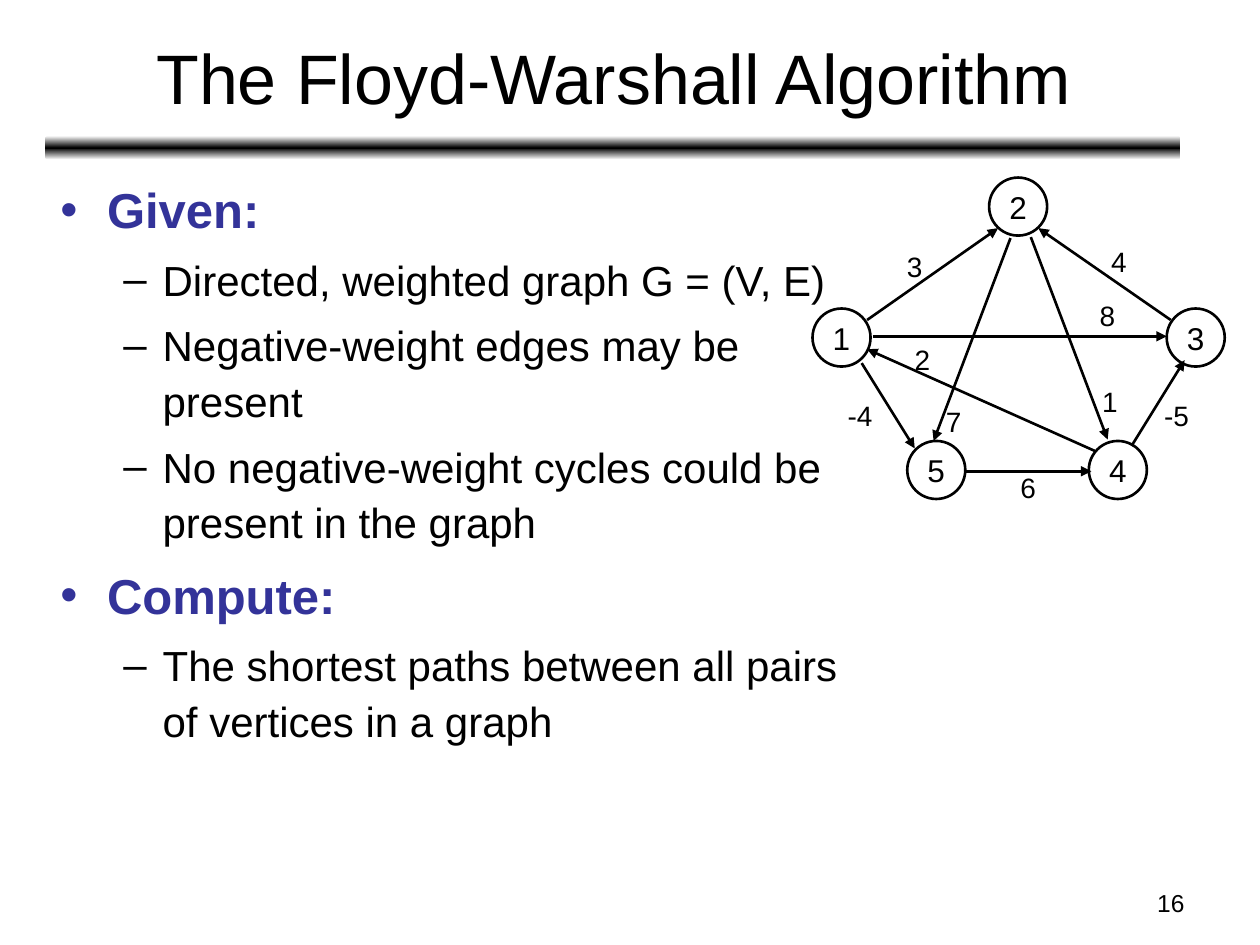
from copy import deepcopy

from pptx import Presentation
from pptx.dml.color import RGBColor
from pptx.enum.shapes import MSO_CONNECTOR, MSO_SHAPE
from pptx.enum.text import MSO_ANCHOR, MSO_AUTO_SIZE, PP_ALIGN
from pptx.oxml.ns import qn
from pptx.util import Cm, Pt
from lxml.etree import SubElement

INK = {"black": "000000", "white": "FFFFFF", "blue": "333399"}
NODE = 1.17
LEVELS = [
    {"mark": "•", "size": 28, "ink": "blue", "bold": True, "left": 0.94, "hang": 0.94, "gap": 7},
    {"mark": "–", "size": 24, "ink": "black", "bold": False, "left": 2.06, "hang": 0.79, "gap": 6},
]
POINTS = [
    (0, "Given:"),
    (1, "Directed, weighted graph G = (V, E)"),
    (1, "Negative-weight edges may be present"),
    (1, "No negative-weight cycles could be present in the graph"),
    (0, "Compute:"),
    (1, "The shortest paths between all pairs of vertices in a graph"),
]
NODES = [
    ("1", 16.38, 6.22),
    ("2", 19.94, 3.58),
    ("3", 23.52, 6.22),
    ("5", 18.29, 8.89),
    ("4", 21.95, 8.89),
]
EDGES = [
    (17.48, 6.45, 20.12, 4.6),
    (17.37, 7.32, 18.44, 9.04),
    (19.48, 9.5, 22, 9.5),
    (20.78, 4.78, 22.33, 8.86),
    (22.07, 9.09, 17.48, 7.04),
    (23.6, 6.45, 20.93, 4.6),
    (20.37, 4.8, 18.82, 8.89),
    (22.81, 8.99, 23.88, 7.26),
    (17.6, 6.78, 23.52, 6.78),
]
WEIGHTS = [
    ("3", 18.03, 4.9),
    ("-4", 16.84, 7.9),
    ("7", 18.82, 8.03),
    ("6", 20.32, 9.37),
    ("2", 18.19, 6.78),
    ("4", 22.15, 4.8),
    ("1", 21.97, 7.62),
    ("-5", 23.22, 7.9),
    ("8", 21.92, 5.89),
]


class Deck:
    font = "Arial"
    line = 1.5

    def __init__(self, slide):
        self.slide = slide
        self.shapes = slide.shapes

    def ink(self, name):
        return RGBColor.from_string(INK[name])

    def style(self, para, size, ink="black", bold=False):
        for run in para.runs:
            run.font.name = self.font
            run.font.size = Pt(size)
            run.font.bold = bold
            run.font.color.rgb = self.ink(ink)

    def text(self, text, box, size, align=PP_ALIGN.LEFT, anchor=MSO_ANCHOR.TOP, wrap=True):
        frame = self.shapes.add_textbox(*map(Cm, box)).text_frame
        frame.word_wrap = wrap
        frame.auto_size = MSO_AUTO_SIZE.NONE if wrap else MSO_AUTO_SIZE.SHAPE_TO_FIT_TEXT
        frame.vertical_anchor = anchor
        frame.text = text
        para = frame.paragraphs[0]
        para.alignment = align
        self.style(para, size)

    def points(self, items, box):
        frame = self.shapes.add_textbox(*map(Cm, box)).text_frame
        frame.word_wrap = True
        for num, (level, text) in enumerate(items):
            para = frame.add_paragraph() if num else frame.paragraphs[0]
            look = LEVELS[level]
            para.text = text
            para.level = level
            para.line_spacing = 1.1
            para.space_before = Pt(look["gap"])
            self.style(para, look["size"], look["ink"], look["bold"])
            self.bullet(para, look)

    def bullet(self, para, look):
        props = para._p.get_or_add_pPr()
        props.set("marL", str(Cm(look["left"])))
        props.set("indent", str(-Cm(look["hang"])))
        tint = SubElement(props, qn("a:buClr"))
        SubElement(tint, qn("a:srgbClr"), val=INK[look["ink"]])
        SubElement(props, qn("a:buFont"), typeface=self.font)
        SubElement(props, qn("a:buChar"), char=look["mark"])

    def bar(self, box):
        shape = self.shapes.add_shape(MSO_SHAPE.ROUNDED_RECTANGLE, *map(Cm, box))
        shape.shadow.inherit = False
        shape.line.fill.background()
        shape.fill.gradient()
        shape.fill.gradient_angle = 90
        stops = shape.element.spPr.find(".//" + qn("a:gsLst"))
        stops.insert(1, deepcopy(stops[0]))
        for stop, place, ink in zip(shape.fill.gradient_stops, (0, 0.5, 1), ("white", "black", "white")):
            stop.position = place
            stop.color.rgb = self.ink(ink)

    def node(self, text, left, top):
        shape = self.shapes.add_shape(MSO_SHAPE.OVAL, *map(Cm, (left, top, NODE, NODE)))
        shape.shadow.inherit = False
        shape.fill.background()
        shape.line.color.rgb = self.ink("black")
        shape.line.width = Pt(self.line)
        frame = shape.text_frame
        frame.word_wrap = False
        frame.vertical_anchor = MSO_ANCHOR.MIDDLE
        frame.text = text
        frame.paragraphs[0].alignment = PP_ALIGN.CENTER
        self.style(frame.paragraphs[0], 18)

    def edge(self, *ends):
        link = self.shapes.add_connector(MSO_CONNECTOR.STRAIGHT, *map(Cm, ends))
        link.line.color.rgb = self.ink("black")
        link.line.width = Pt(self.line)
        SubElement(link.line._get_or_add_ln(), qn("a:tailEnd"), type="triangle")
        SubElement(link.element.spPr, qn("a:effectLst"))

    def weight(self, text, left, top):
        wide = 0.85 if len(text) == 1 else 1.1
        self.text(text, (left, top, wide, 0.94), 16, wrap=False)


def main():
    show = Presentation()
    show.slide_width, show.slide_height = Cm(25.4), Cm(19.05)
    deck = Deck(show.slides.add_slide(show.slide_layouts[6]))
    deck.bar((0.91, 2.74, 22.89, 0.48))
    deck.text("16", (18.21, 17.78, 5.92, 0.89), 14, PP_ALIGN.RIGHT)
    deck.text("The Floyd-Warshall Algorithm", (0.94, 0.28, 22.86, 2.51), 40,
              PP_ALIGN.CENTER, MSO_ANCHOR.MIDDLE)
    deck.points(POINTS, (0.97, 3.38, 16.26, 14.1))
    for item in NODES:
        deck.node(*item)
    for ends in EDGES:
        deck.edge(*ends)
    for item in WEIGHTS:
        deck.weight(*item)
    show.save("out.pptx")


if __name__ == "__main__":
    main()
